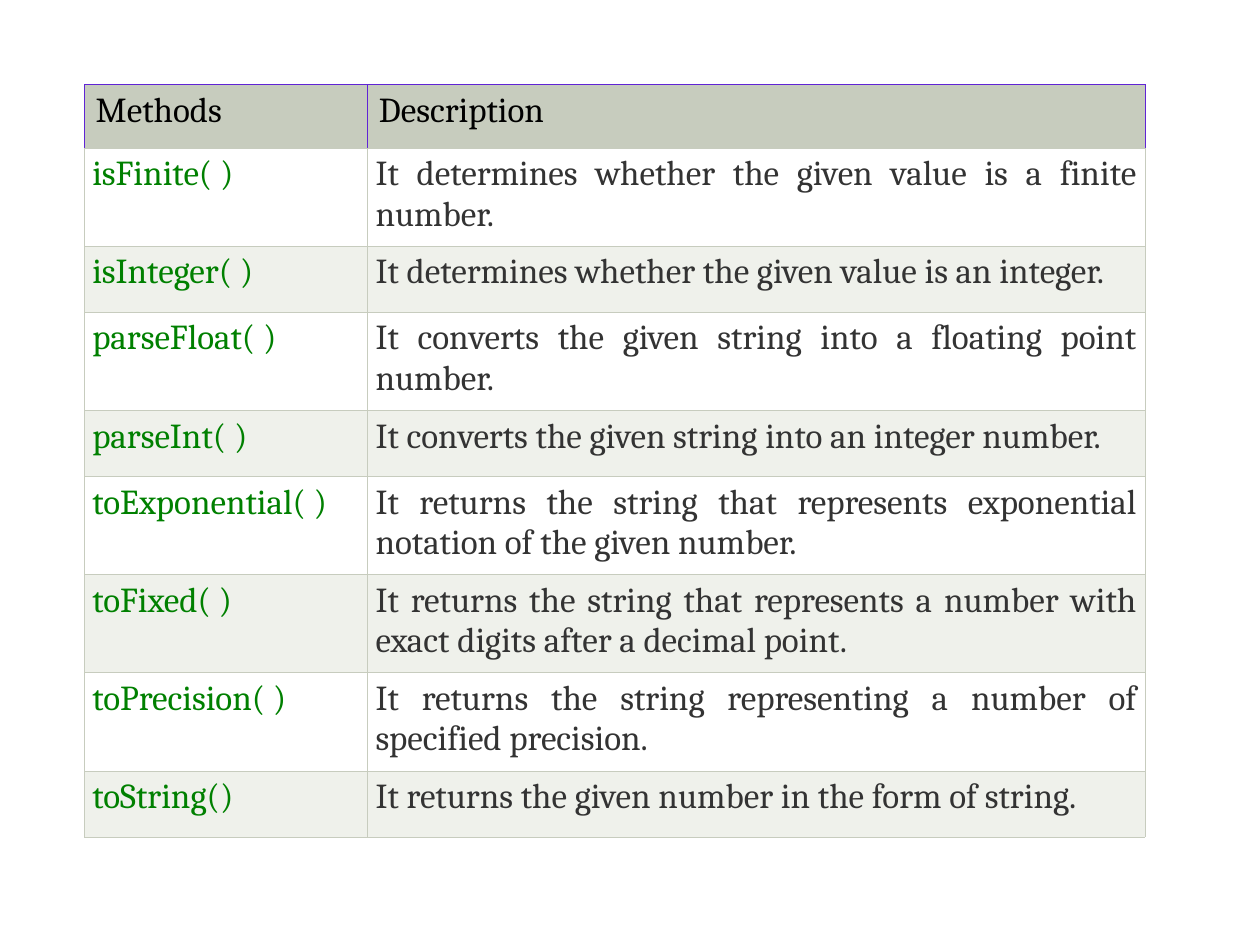
from lxml import etree
from pptx import Presentation
from pptx.dml.color import RGBColor
from pptx.enum.text import PP_ALIGN
from pptx.oxml.ns import qn
from pptx.util import Cm, Pt

JUSTIFY, LEFT = PP_ALIGN.JUSTIFY, PP_ALIGN.LEFT
SAGE, PALE, WHITE, PURPLE = "C7CCBE", "EFF1EB", "FFFFFF", "6024D5"
BLACK, GREEN, GREY = "000000", "008000", "333333"
ONE_LINE, TWO_LINES = 1.33, 1.98

# method, description, row height in cm
ROWS = [
    ("Methods", "Description", 1.28),
    ("isFinite( )", "It determines whether the given value is a finite number.", TWO_LINES),
    ("isInteger( )", "It determines whether the given value is an integer.", ONE_LINE),
    ("parseFloat( )", "It converts the given string into a floating point number.", TWO_LINES),
    ("parseInt( )", "It converts the given string into an integer number.", ONE_LINE),
    ("toExponential( )", "It returns the string that represents exponential notation of the given number.", TWO_LINES),
    ("toFixed( )", "It returns the string that represents a number with exact digits after a decimal point.", TWO_LINES),
    ("toPrecision( )", "It returns the string representing a number of specified precision.", TWO_LINES),
    ("toString()", "It returns the given number in the form of string.", ONE_LINE),
]
COL_WIDTHS = [5.71, 15.67]


def rgb(color):
    return RGBColor.from_string(color)


def set_borders(cell, sides):
    """Draw thin cell borders; must run before the cell is filled."""
    tcPr = cell._tc.get_or_add_tcPr()
    for side, color in sides.items():
        ln = etree.SubElement(tcPr, qn("a:ln" + side), w=str(Pt(0.34)))
        fill = etree.SubElement(ln, qn("a:solidFill"))
        etree.SubElement(fill, qn("a:srgbClr"), val=color)


prs = Presentation()
prs.slide_width, prs.slide_height = Cm(25.4), Cm(19.05)
s = prs.slides.add_slide(prs.slide_layouts[6])

height = sum(row[2] for row in ROWS)
table = s.shapes.add_table(len(ROWS), len(COL_WIDTHS), Cm(1.7), Cm(1.7),
                           Cm(sum(COL_WIDTHS)), Cm(height)).table
for column, width in zip(table.columns, COL_WIDTHS):
    column.width = Cm(width)

for i, (method, description, row_height) in enumerate(ROWS):
    table.rows[i].height = Cm(row_height)
    header = i == 0
    edge = PURPLE if header else SAGE
    fill = SAGE if header else WHITE if i % 2 else PALE
    colors = (BLACK, BLACK) if header else (GREEN, GREY)
    for j, text in enumerate((method, description)):
        cell = table.cell(i, j)
        set_borders(cell, {"L": edge, "R": edge, "T": edge, "B": SAGE})
        cell.fill.solid()
        cell.fill.fore_color.rgb = rgb(fill)
        cell.margin_left = cell.margin_right = Cm(0.23 if header else 0.16)
        cell.margin_top = cell.margin_bottom = Cm(0.13)
        cell.text = text
        p = cell.text_frame.paragraphs[0]
        p.alignment = LEFT if header else JUSTIFY
        p.font.name, p.font.size, p.font.bold = "Cambria", Pt(20), False
        p.font.color.rgb = rgb(colors[j])

# The first body row meets the header with the body colour
for cell in table.rows[1].cells:
    cell._tc.tcPr.find(qn("a:lnT")).find(".//" + qn("a:srgbClr")).set("val", SAGE)

prs.save("out.pptx")
